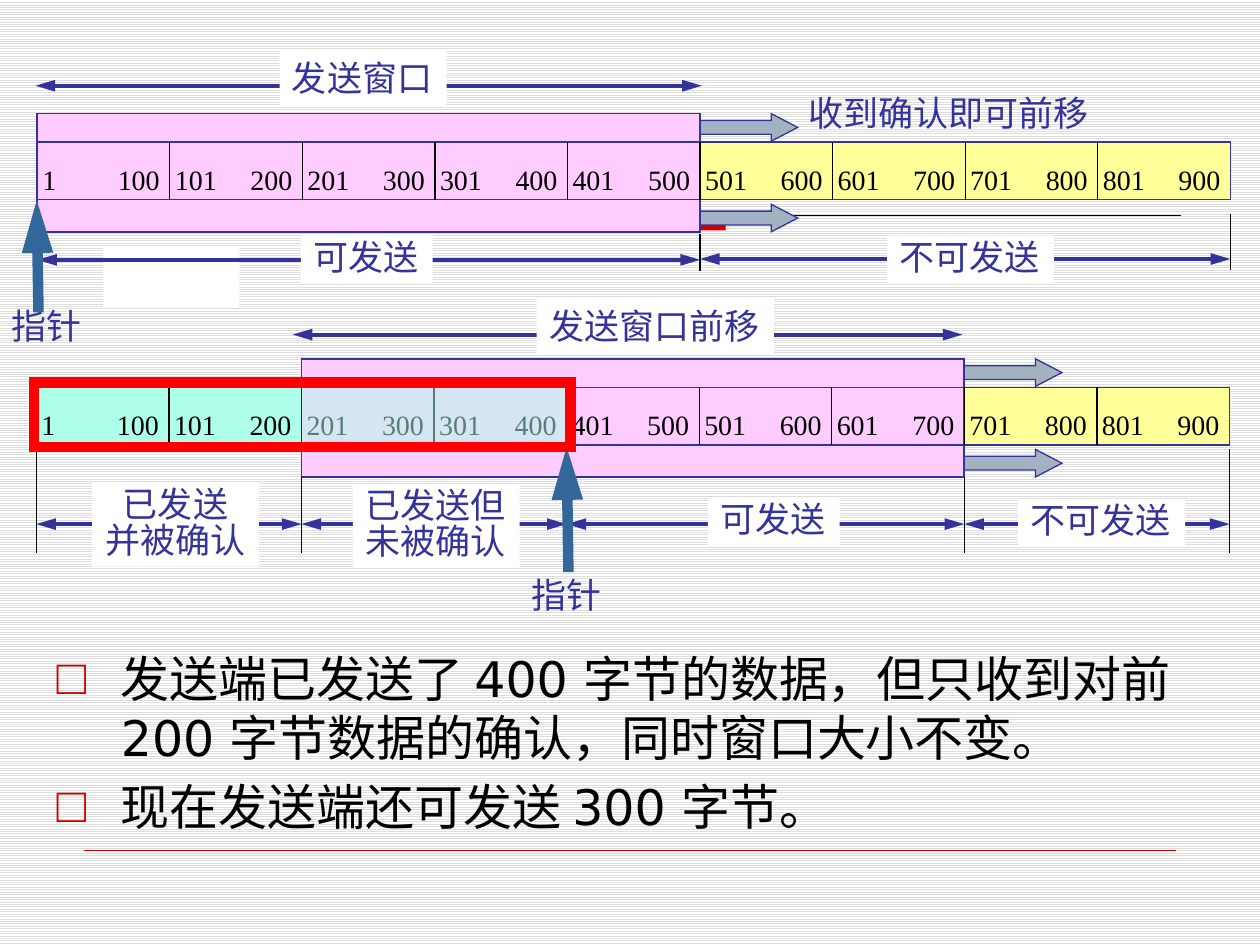
from lxml import etree
from pptx import Presentation
from pptx.dml.color import RGBColor
from pptx.enum.dml import MSO_PATTERN
from pptx.enum.shapes import MSO_CONNECTOR, MSO_SHAPE
from pptx.enum.text import MSO_ANCHOR, PP_ALIGN
from pptx.oxml.ns import qn
from pptx.util import Pt

RECT, ARROW = MSO_SHAPE.RECTANGLE, MSO_SHAPE.RIGHT_ARROW
LINE = MSO_CONNECTOR.STRAIGHT
HATCH = MSO_PATTERN.LIGHT_HORIZONTAL
MIDDLE, TOP = MSO_ANCHOR.MIDDLE, MSO_ANCHOR.TOP
LEFT, CENTER = PP_ALIGN.LEFT, PP_ALIGN.CENTER

BLACK = RGBColor(0, 0, 0)
WHITE = RGBColor(0xFF, 0xFF, 0xFF)
GRAY = RGBColor(0xDD, 0xDD, 0xDD)
NAVY = RGBColor(0x33, 0x33, 0x99)
STEEL = RGBColor(0x33, 0x66, 0x99)
SLATE = RGBColor(0xA3, 0xB2, 0xC1)
PINK = RGBColor(0xFF, 0xCC, 0xFF)
MINT = RGBColor(0xAD, 0xFF, 0xEA)
YELLOW = RGBColor(0xFF, 0xFF, 0x99)
RED = RGBColor(0xFF, 0, 0)
CRIMSON = RGBColor(0xCC, 0, 0)

HAN, SERIF, SANS = "Noto Sans CJK SC", "Times New Roman", "DejaVu Sans"
CELL, TALL, CELLS, SPAN = 75.75, 33, 9, 5
RISE, DEPTH = 16.3, 67.6


def add(parent, tag, **attrs):
    return etree.SubElement(parent, qn(tag), attrs)


def block(slide, x, y, w, h, fill=None, line=None, width=0.75, kind=RECT):
    shape = slide.shapes.add_shape(kind, Pt(x), Pt(y), Pt(w), Pt(h))
    shape.shadow.inherit = False
    if fill is None:
        shape.fill.background()
    else:
        shape.fill.solid()
        shape.fill.fore_color.rgb = fill
    if line is None:
        shape.line.fill.background()
    else:
        shape.line.color.rgb = line
        shape.line.width = Pt(width)
        add(shape.line._get_or_add_ln(), "a:miter", lim="800000")
    return shape


def rule(slide, x1, y1, x2, y2, color=BLACK, width=0.75, ends=()):
    line = slide.shapes.add_connector(LINE, Pt(x1), Pt(y1), Pt(x2), Pt(y2))
    line.line.color.rgb = color
    line.line.width = Pt(width)
    for end in ends:
        add(line.line._get_or_add_ln(), end, type="triangle", len="lg")
    add(line._element.spPr, "a:effectLst")


def style(para, size, font, color):
    for run in para.runs:
        run.font.size = Pt(size)
        run.font.name = font
        run.font.color.rgb = color
        if font != SERIF:
            add(run._r.get_or_add_rPr(), "a:ea", typeface=HAN)


def write(slide, x, y, w, h, text, size, font, color, anchor, align=LEFT, pitch=1):
    box = slide.shapes.add_textbox(Pt(x), Pt(y), Pt(w), Pt(h))
    frame = box.text_frame
    frame.word_wrap = False
    frame.vertical_anchor = anchor
    frame.text = text
    for para in frame.paragraphs:
        para.alignment = align
        para.line_spacing = pitch
        style(para, size, font, color)
    return box


def label(slide, x, y, text, fill=True, align=LEFT, pitch=0.85):
    lines = text.split("\n")
    w = 20.1 * max(map(len, lines)) + 15
    h = 24 * pitch * len(lines) + 7.2
    box = write(slide, x, y, w, h, text, 20, HAN, NAVY, MIDDLE, align, pitch)
    if fill:
        box.fill.solid()
        box.fill.fore_color.rgb = WHITE


def span(slide, x1, x2, y, text, x, top, **look):
    rule(slide, x1, y, x2, y, NAVY, 2.25, ("a:headEnd", "a:tailEnd"))
    label(slide, x, top, text, **look)


def pointer(slide, x, y, length, left, top):
    rule(slide, x + 1, y + length, x, y, STEEL, 6, ("a:tailEnd",))
    label(slide, left, top, "指针", fill=False)


def strip(slide, x, y, first):
    last = first + SPAN
    row = y + RISE
    edge = x + last * CELL
    if first:
        block(slide, x, row, first * CELL, TALL, MINT)
    block(slide, edge, row, (CELLS - last) * CELL, TALL, YELLOW)
    for top in (y, y + 51.8):
        arrow = block(slide, edge - 4, top, 59.8, 15.8, SLATE, NAVY, kind=ARROW)
        arrow.adjustments[1] = 0.96
    block(slide, x + first * CELL, y, SPAN * CELL, DEPTH, PINK, NAVY, 1)
    block(slide, x, row, CELLS * CELL, TALL, line=NAVY)
    for i in range(CELLS):
        left = x + i * CELL
        if i:
            rule(slide, left, row, left, row + TALL)
        low, high = str(i * 100 + 1), str(i * 100 + 100)
        right = left + CELL + 2
        for text, at in ((low, left - 4.2), (high, right - 38.8)):
            w = 8 * len(text) + 14.8
            write(slide, at, row + 7.9, w, 26.6, text, 16, SERIF, BLACK, TOP)


def before(slide, x, y):
    strip(slide, x, y, 0)
    edge, end = x + SPAN * CELL, x + CELLS * CELL
    label(slide, 455, 52.6, "收到确认即可前移", fill=False)
    span(slide, x - 1, edge + 1, 49, "发送窗口", 159.8, 28.8, pitch=1)
    rule(slide, edge, y + 69, edge, y + 90)
    rule(slide, end, y + 57.6, end, y + 89.3)
    block(slide, 59, 141.1, 77.8, 34.6, WHITE)
    span(slide, x, edge, 148.5, "可发送", 172, 134.6)
    span(slide, edge, end, 148, "不可发送", 506.9, 134.6)
    pointer(slide, x - 0.3, 114.5, 64, -0.7, 174.2)


def after(slide, x, y):
    strip(slide, x, y, 2)
    marks = [x + i * CELL for i in (0, 2, 4, 7, 9)]
    for i in (0, 1, 3, 4):
        top = y + (DEPTH if i in (1, 3) else 51.8)
        rule(slide, marks[i], top, marks[i], 316)
    parts = (
        ("已发送\n并被确认", 52.6, 275.8),
        ("已发送但\n未被确认", 201.6, 276.5),
        ("可发送", 404.6, 284.4),
        ("不可发送", 581.8, 285.1),
    )
    for i, (text, left, top) in enumerate(parts):
        align = CENTER if i == 0 else LEFT
        span(slide, marks[i], marks[i + 1], 299.5, text, left, top, align=align)
    pointer(slide, marks[2], 255.6, 71.3, 296.6, 327.6)
    veil = block(slide, marks[1], y + RISE, 2 * CELL, TALL, MINT)
    color = veil._element.spPr.find(qn("a:solidFill"))[0]
    add(color, "a:alpha", val="50000")
    span(slide, marks[1] - 5, marks[3] - 1, 191.2, "发送窗口前移", 306.7, 170.6, pitch=1)
    block(slide, 19.4, y + 13.7, 306.7, 36.7, line=RED, width=6)


def notes(slide, x, y, w, h):
    body = slide.placeholders[1]
    body.left, body.top, body.width, body.height = Pt(x), Pt(y), Pt(w), Pt(h)
    frame = body.text_frame
    frame.text = (
        "发送端已发送了 400 字节的数据，但只收到对前 200 字节数据的确认，同时窗口大小不变。\n"
        "现在发送端还可发送 300 字节。"
    )
    for i, para in enumerate(frame.paragraphs):
        props = para._p.get_or_add_pPr()
        props.set("marL", str(Pt(36.7)))
        props.set("indent", str(-Pt(36.7)))
        add(add(props, "a:buClr"), "a:srgbClr", val=str(CRIMSON))
        add(props, "a:buChar", char="□")
        para.line_spacing = Pt(34)
        para.space_before = Pt(5 * i)
        style(para, 28, SANS, BLACK)


def main():
    deck = Presentation()
    deck.slide_width, deck.slide_height = Pt(720), Pt(540)
    slide = deck.slides.add_slide(deck.slide_layouts[1])
    title = slide.shapes.title._element
    title.getparent().remove(title)
    back = slide.background.fill
    back.patterned()
    back.pattern = HATCH
    back.fore_color.rgb = GRAY
    back.back_color.rgb = WHITE
    block(slide, 48.2, 123.1, 366.5, 8.6, CRIMSON)
    rule(slide, 48.2, 123.1, 674.6, 123.1)
    rule(slide, 48.2, 486, 671.8, 486, CRIMSON, 0.25)
    before(slide, 21.3, 64.9)
    after(slide, 20.8, 205)
    notes(slide, 25.2, 366.5, 668.9, 130.3)
    deck.save("out.pptx")


if __name__ == "__main__":
    main()
